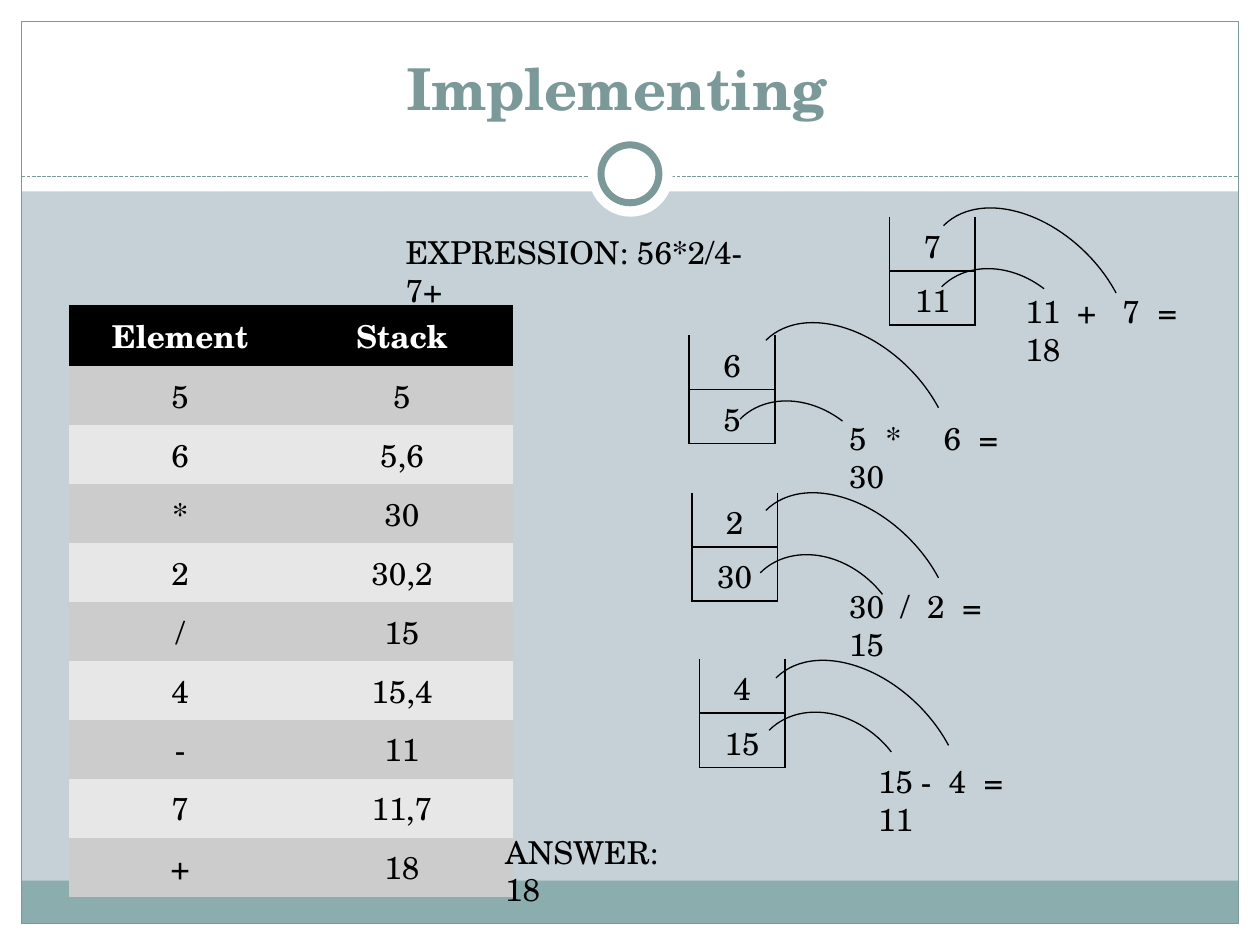
from lxml import etree
from pptx import Presentation, util as u
from pptx.dml.color import RGBColor
from pptx.enum import dml, shapes, text
from pptx.oxml.ns import qn

COLORS = {"paper": "C5D1D7", "white": "FFFFFF", "black": "000000", "frame": "7C999A",
          "footer": "8CADAE", "odd": "CCCCCC", "even": "E7E7E7"}
COLUMNS, ROWS = 100, 75  # grid of square cells
CELL = u.Inches(0.1)
NO_STYLE = "{2D5ABB26-0587-4C30-8999-92F81FD0307C}"

TRACE = [("Element", "Stack"), ("5", "5"), ("6", "5,6"), ("*", "30"), ("2", "30,2"),
         ("/", "15"), ("4", "15,4"), ("-", "11"), ("7", "11,7"), ("+", "18")]

# Each step: stack place and values, outer arc place, inner arc place and end,
# equation box, equation terms, tab stops of the operator and second operand.
STEPS = [
    ((54.7, 26.6), ("6", "5"), (61.1, 24.2), (58, 31.2), 209.18,
     (66.4, 32.8, 17.3, 4), ("5", "*", "6", "30"), (2.9, 7.5)),
    ((54.9, 39.1), ("2", "30"), (61.1, 37.7), (59.6, 43.4), 6.51,
     (66.4, 46.1, 16.5, 4), ("30", "/", "2", "15"), (4.1, 6.2)),
    ((55.5, 52.3), ("4", "15"), (61.9, 51), (60.3, 55.9), 6.51,
     (68.7, 60, 14.9, 4), ("15", "-", "4", "11"), (3.4, 5.6)),
    ((70.6, 17.2), ("7", "11"), (75.2, 15.1), (74, 20.7), 209.18,
     (80.4, 22.7, 16.8, 4), ("11", "+", "7", "18"), (4.1, 7.7)),
]


def grid(*cells):
    return [u.Emu(round(count * CELL)) for count in cells]


def color(name):
    return RGBColor.from_string(COLORS[name])


class Slide:
    """Holds the text style and the page being drawn; lengths are grid cells."""
    font, size = "TeX Gyre Schola", 18

    def __init__(self, deck):
        self.page = deck.slides.add_slide(deck.slide_layouts[5])
        fill = self.page.background.fill
        fill.solid()
        fill.fore_color.rgb = color("paper")

    def span(self, para, words, ink="black", size=None, bold=False):
        span = para.add_run()
        span.text = words
        span.font.name, span.font.size = self.font, u.Pt(size or self.size)
        span.font.bold, span.font.color.rgb = bold, color(ink)

    def title(self, words, *place):
        title = self.page.shapes.title
        title.left, title.top, title.width, title.height = grid(*place)
        title.text_frame.vertical_anchor = text.MSO_ANCHOR.BOTTOM
        para = title.text_frame.paragraphs[0]
        para.alignment = text.PP_ALIGN.CENTER
        self.span(para, words, "frame", 33, True)
        title.element.getparent().append(title.element)  # in front of the bands

    def shape(self, kind, place, fill=None, line=None, width=0.75):
        shape = self.page.shapes.add_shape(kind, *grid(*place))
        shape.shadow.inherit = False
        if fill:
            shape.fill.solid()
            shape.fill.fore_color.rgb = color(fill)
        else:
            shape.fill.background()
        if line:
            shape.line.color.rgb, shape.line.width = color(line), u.Pt(width)
        else:
            shape.line.fill.background()
        return shape

    def arc(self, place, end):
        arc = self.shape(shapes.MSO_SHAPE.ARC, place, line="black")
        arc.adjustments[0], arc.adjustments[1] = 162, end
        arc.rotation = 314.9

    def rule(self, *ends):
        rule = self.page.shapes.add_connector(shapes.MSO_CONNECTOR.STRAIGHT, *grid(*ends))
        rule.line.color.rgb, rule.line.width = color("frame"), u.Pt(0.75)
        rule.line.dash_style = dml.MSO_LINE.SQUARE_DOT
        etree.SubElement(rule.element.spPr, qn("a:effectLst"))

    def label(self, words, *place):
        box = self.page.shapes.add_textbox(*grid(*place))
        box.text_frame.word_wrap = True
        para = box.text_frame.paragraphs[0]
        if words:
            self.span(para, words)
        return para

    def equation(self, place, terms, stops):
        """Line up the terms on tab stops, with the result on the next line."""
        first, operator, second, result = terms
        para = self.label("", *place)
        tabs = etree.SubElement(para._p.get_or_add_pPr(), qn("a:tabLst"))
        for stop in grid(*stops, stops[-1] + 2.8):
            etree.SubElement(tabs, qn("a:tab"), pos=str(stop), algn="l")
        self.span(para, "\t".join((first, operator, second, "=")))
        para.add_line_break()
        self.span(para, result)

    def table(self, values, *place):
        frame = self.page.shapes.add_table(len(values), len(values[0]), *grid(*place))
        frame.element.find(".//" + qn("a:tableStyleId")).text = NO_STYLE
        table = frame.table
        table.first_row = table.horz_banding = False
        for row, words in enumerate(values):
            for column, word in enumerate(words):
                cell = table.cell(row, column)
                cell.vertical_anchor = text.MSO_ANCHOR.MIDDLE
                para = cell.text_frame.paragraphs[0]
                para.alignment = text.PP_ALIGN.CENTER
                yield row, cell, para, word

    def trace_table(self, *place):
        for row, cell, para, word in self.table(TRACE, *place):
            head = row == 0
            self.span(para, word, "white" if head else "black", bold=head)
            cell.fill.solid()
            cell.fill.fore_color.rgb = color("black" if head else ("even", "odd")[row % 2])

    def stack(self, place, values):
        """Draw a stack of two cells, open at the top."""
        for row, cell, para, word in self.table([[v] for v in values], *place, 6.8, 8.6):
            self.span(para, word)
            cell.fill.background()
            self.borders(cell, "LRTB" if row else "LRB")

    def borders(self, cell, sides):
        props = cell._tc.get_or_add_tcPr()
        for index, side in enumerate(sides):
            line = etree.Element(qn("a:ln" + side), w=str(u.Pt(1)))
            fill = etree.SubElement(line, qn("a:solidFill"))
            etree.SubElement(fill, qn("a:srgbClr"), val=COLORS["black"])
            props.insert(index, line)


def main():
    deck = Presentation()
    deck.slide_width, deck.slide_height = grid(COLUMNS, ROWS)
    slide = Slide(deck)
    rectangle, ellipse = shapes.MSO_SHAPE.RECTANGLE, shapes.MSO_SHAPE.OVAL
    edge = 1.7
    for band in [(0, ROWS - edge, COLUMNS, edge), (0, 0, COLUMNS, 15.2),
                 (0, 0, edge, ROWS), (COLUMNS - edge, 0, edge, ROWS)]:
        slide.shape(rectangle, band, "white")
    inner = COLUMNS - 2 * edge
    slide.shape(rectangle, (edge, 69.9, inner, 3.4), "footer")
    slide.shape(rectangle, (edge, edge, inner, ROWS - 2 * edge), line="frame")
    slide.rule(edge, 14, COLUMNS - edge, 14)
    slide.shape(ellipse, (46.7, 10.5, 6.7, 6.7), "white")
    slide.shape(ellipse, (47.7, 11.5, 4.6, 4.6), "white", "frame", 4)
    slide.title("Implementing", 2.3, 1.6, 93.3, 8.6)

    slide.trace_table(5.5, 24.2, 35.2, 46.8)
    slide.label("EXPRESSION: 56*2/4-7+", 31.2, 18, 31.2, 4)
    for place, values, outer, inner_arc, end, box, terms, stops in STEPS:
        slide.stack(place, values)
        slide.arc((*outer, 12.9, 19.1), 20.25)
        slide.arc((*inner_arc, 11.4, 14), end)
        slide.equation(box, terms, stops)
    slide.label("ANSWER: 18", 39.1, 65.6, 16.9, 4)
    deck.save("out.pptx")


if __name__ == "__main__":
    main()
